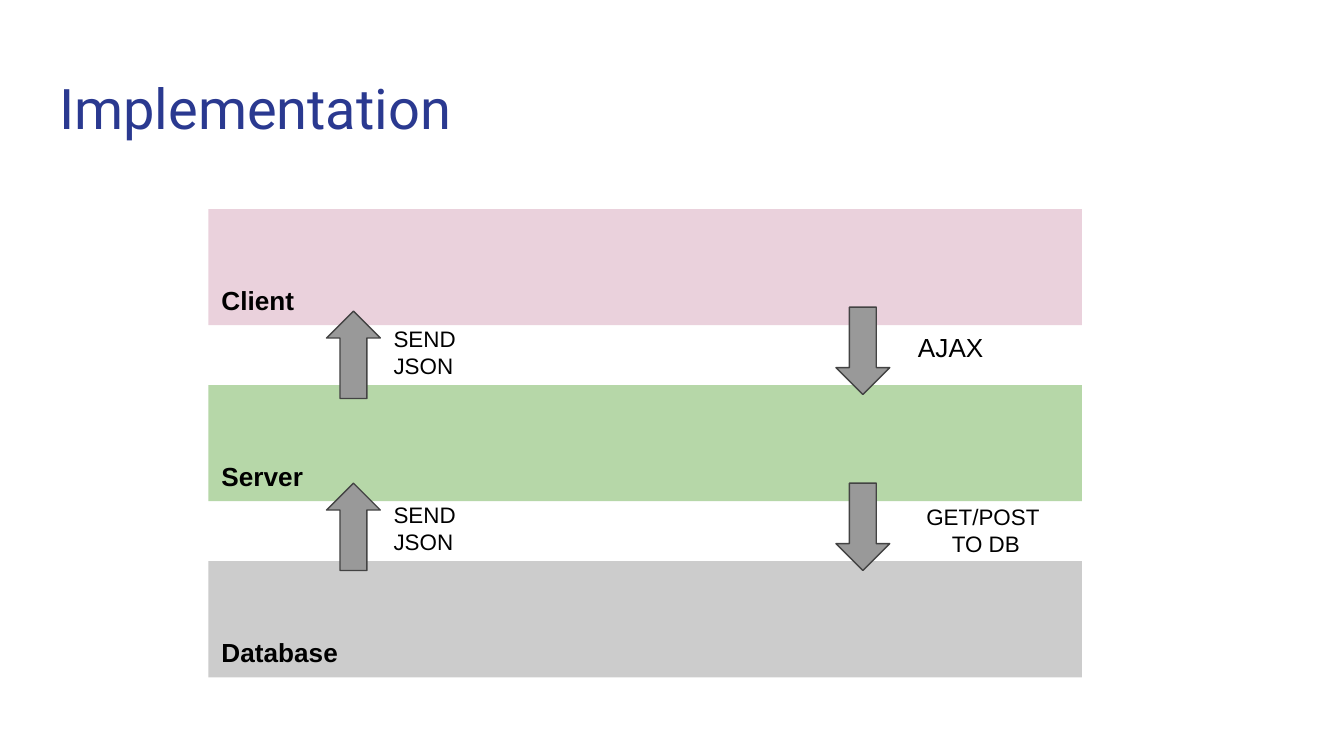
from pptx import Presentation
from pptx.dml.color import RGBColor
from pptx.enum.shapes import MSO_SHAPE
from pptx.enum.text import MSO_ANCHOR, PP_ALIGN
from pptx.util import Emu, Pt

EMU_PER_PX = 4572  # 200 px to the inch

NAVY = RGBColor(0x2A, 0x39, 0x90)
BLACK = RGBColor(0x00, 0x00, 0x00)
PINK = RGBColor(0xEA, 0xD1, 0xDC)
GREEN = RGBColor(0xB6, 0xD7, 0xA8)
SILVER = RGBColor(0xCC, 0xCC, 0xCC)
GREY = RGBColor(0x99, 0x99, 0x99)
DARK_GREY = RGBColor(0x43, 0x43, 0x43)

LAYERS = [("Client", PINK), ("Server", GREEN), ("Database", SILVER)]
LAYER_LEFT, LAYER_TOP, LAYER_WIDTH, LAYER_HEIGHT = 310, 311, 1300, 173
LAYER_PITCH = 262
ARROW_LENGTH, ARROW_WIDTH = 130, 80
DOWN, UP = 90, 270
INSET = 20


def px(length):
    return Emu(length * EMU_PER_PX)


def box(left, top, width, height):
    return px(left), px(top), px(width), px(height)


def write(shape, text, size, color=BLACK, font="Arial", bold=False,
          align=PP_ALIGN.LEFT, anchor=MSO_ANCHOR.TOP,
          left_inset=INSET, bottom_inset=INSET):
    frame = shape.text_frame
    frame.word_wrap = True
    frame.vertical_anchor = anchor
    frame.margin_top = frame.margin_right = px(INSET)
    frame.margin_left = px(left_inset)
    frame.margin_bottom = px(bottom_inset)
    frame.text = text
    for paragraph in frame.paragraphs:
        paragraph.alignment = align
        for run in paragraph.runs:
            run.font.name = font
            run.font.size = Pt(size)
            run.font.bold = bold
            run.font.color.rgb = color


def add_title(slide, text):
    title = slide.shapes.title
    title.left, title.top, title.width, title.height = box(68, 90, 1864, 132)
    write(title, text, 30, NAVY, "Roboto")


def add_layer(slide, index, name, color):
    top = LAYER_TOP + index * LAYER_PITCH
    layer = slide.shapes.add_shape(
        MSO_SHAPE.RECTANGLE, *box(LAYER_LEFT, top, LAYER_WIDTH, LAYER_HEIGHT))
    layer.shadow.inherit = False
    layer.fill.solid()
    layer.fill.fore_color.rgb = color
    layer.line.fill.background()
    write(layer, name, 14, bold=True, anchor=MSO_ANCHOR.BOTTOM,
          bottom_inset=14)


def add_arrow(slide, left, top, direction):
    """Place a right arrow by its unrotated box, then turn it."""
    arrow = slide.shapes.add_shape(
        MSO_SHAPE.RIGHT_ARROW, *box(left, top, ARROW_LENGTH, ARROW_WIDTH))
    arrow.rotation = direction
    arrow.shadow.inherit = False
    arrow.fill.solid()
    arrow.fill.fore_color.rgb = GREY
    arrow.line.color.rgb = DARK_GREY
    arrow.line.width = Pt(0.75)


def add_label(slide, place, text, size=12, **style):
    label = slide.shapes.add_textbox(*box(*place))
    write(label, text, size, **style)


def main():
    prs = Presentation()
    prs.slide_width, prs.slide_height = px(2000), px(1125)
    slide = prs.slides.add_slide(prs.slide_layouts[5])

    add_title(slide, "Implementation")
    for index, (name, color) in enumerate(LAYERS):
        add_layer(slide, index, name, color)

    for request_top in (482, 744):
        add_arrow(slide, 1219, request_top, DOWN)
    for response_top in (488, 744):
        add_arrow(slide, 461, response_top, UP)

    add_label(slide, (1328, 473, 198, 114), "AJAX", 14, left_inset=38)
    for response_top in (726, 464):
        add_label(slide, (566, response_top, 198, 94), "SEND\nJSON")
    add_label(slide, (1348, 742, 238, 94), "GET/POST \nTO DB",
              align=PP_ALIGN.CENTER, anchor=MSO_ANCHOR.MIDDLE)

    prs.save("out.pptx")


if __name__ == "__main__":
    main()
